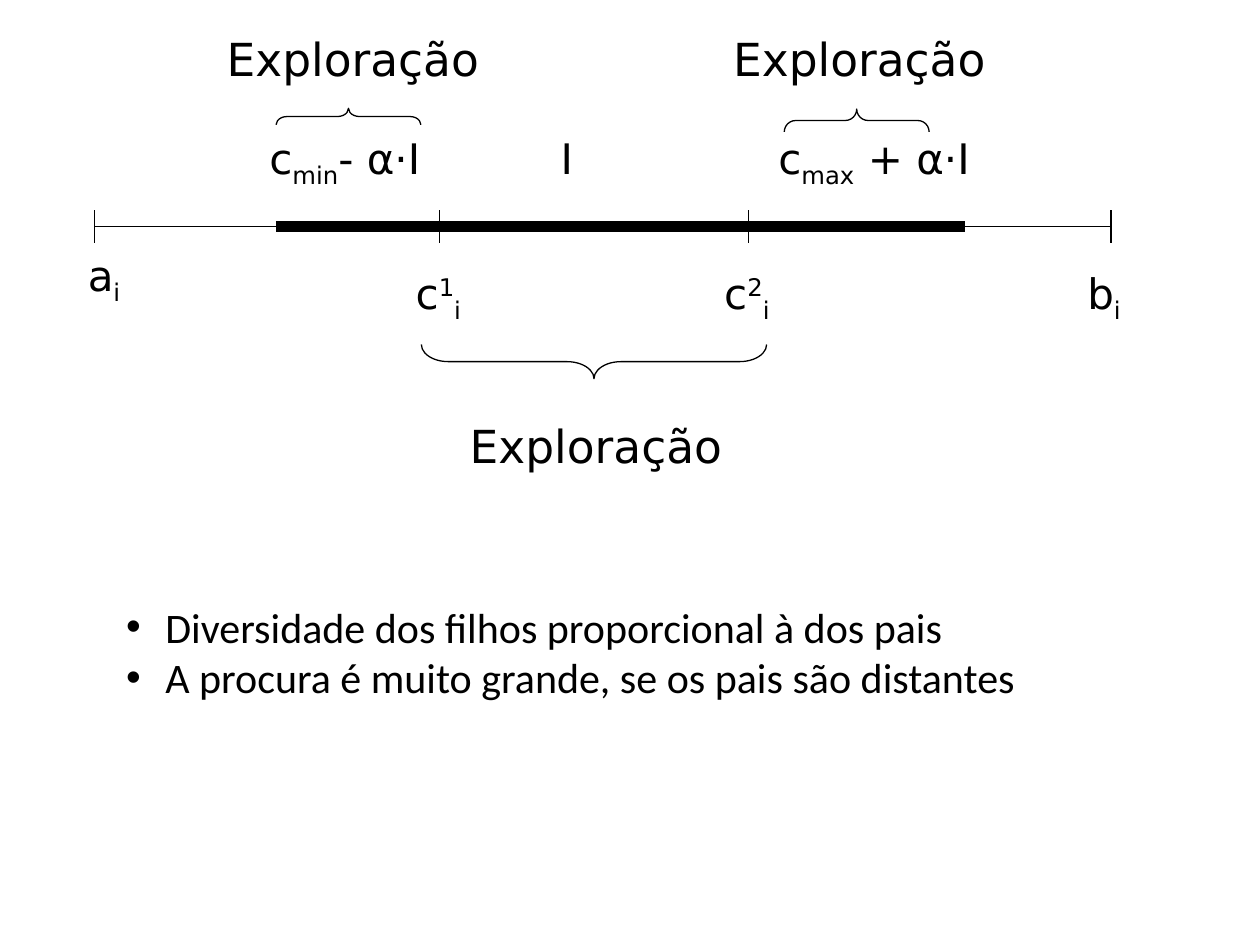
"""Build the slide on exploration around the interval between two parents."""
import pptx
import pptx.dml.color
import pptx.enum.shapes
import pptx.enum.text
import pptx.util
from pptx.util import Cm

BLACK = pptx.dml.color.RGBColor(0, 0, 0)
SUB, SUPER = -25000, 30000
AXIS_Y, TICK_TOP, TICK_BOTTOM = 4.57, 4.24, 4.9
AXIS_START, AXIS_END = 1.9, 22.4
FIRST_PARENT, SECOND_PARENT = 8.86, 15.09


def write_text(paragraph, parts, size=24, font="DejaVu Sans", color=BLACK):
    """Write a string, or (string, baseline) parts, as formatted runs."""
    for text, baseline in [(parts, 0)] if isinstance(parts, str) else parts:
        run = paragraph.add_run()
        run.text = text
        run.font.size = pptx.util.Pt(size)
        run.font.name = font
        run.font.color.rgb = color
        if baseline:
            run._r.get_or_add_rPr().set("baseline", str(baseline))


def add_label(slide, parts, left, top, width, height, **text_format):
    """Add a wrapping text box with one paragraph."""
    label = slide.shapes.add_textbox(Cm(left), Cm(top), Cm(width), Cm(height))
    label.text_frame.word_wrap = True
    write_text(label.text_frame.paragraphs[0], parts, **text_format)


def add_line(slide, x1, y1, x2, y2, weight=0.75):
    """Add a plain black straight line."""
    line = slide.shapes.add_connector(
        pptx.enum.shapes.MSO_CONNECTOR.STRAIGHT, Cm(x1), Cm(y1), Cm(x2), Cm(y2))
    line.line.color.rgb = BLACK
    line.line.width = pptx.util.Pt(weight)
    properties = line._element.spPr
    properties.append(properties.makeelement(pptx.oxml.ns.qn("a:effectLst"), {}))


def add_brace(slide, left, top, width, height, rotation, curve):
    """Add a left brace turned to point up (90) or down (270)."""
    brace = slide.shapes.add_shape(
        pptx.enum.shapes.MSO_SHAPE.LEFT_BRACE, Cm(left), Cm(top), Cm(width), Cm(height))
    brace.rotation = rotation
    brace.adjustments[0] = curve
    brace.shadow.inherit = False
    brace.fill.background()
    brace.line.color.rgb = BLACK
    brace.line.width = pptx.util.Pt(0.75)


def fill_list(body, items):
    """Place the body placeholder and fill it with bulleted items."""
    body.left, body.top, body.width, body.height = Cm(2.29), Cm(11.99), Cm(18.64), Cm(2.31)
    frame = body.text_frame
    frame.word_wrap = False
    frame.auto_size = pptx.enum.text.MSO_AUTO_SIZE.SHAPE_TO_FIT_TEXT
    for index, item in enumerate(items):
        paragraph = frame.add_paragraph() if index else frame.paragraphs[0]
        paragraph.space_before = pptx.util.Pt(0)
        properties = paragraph._p.get_or_add_pPr()
        properties.set("marL", str(Cm(0.79)))
        properties.set("indent", str(Cm(-0.79)))
        write_text(paragraph, item, font="Calibri")


def main():
    """Build and save the slide."""
    deck = pptx.Presentation()
    deck.slide_width, deck.slide_height = Cm(25.4), Cm(19.05)
    slide = deck.slides.add_slide(deck.slide_layouts[1])
    title = slide.shapes.title._element
    title.getparent().remove(title)

    for left, top, width, height in ((4.32, 0.51, 6.96, 1.35),
                                     (14.53, 0.51, 6.58, 1.7),
                                     (9.22, 8.31, 8.05, 2.03)):
        add_label(slide, "Exploração", left, top, width, height, size=26)

    add_label(slide, [("c", 0), ("min", SUB), ("- α·I", 0)], 5.18, 2.54, 4.04, 1.7)
    add_label(slide, [("c", 0), ("max", SUB), (" + α·I", 0)], 15.44, 2.54, 4.75, 1.7)
    add_label(slide, "I", 11.05, 2.54, 1.47, 1.35)

    add_line(slide, AXIS_START, AXIS_Y, AXIS_END, AXIS_Y)
    for x in (AXIS_START, AXIS_END, FIRST_PARENT, SECOND_PARENT):
        add_line(slide, x, TICK_TOP, x, TICK_BOTTOM)

    add_label(slide, [("a", 0), ("i", SUB)], 1.52, 4.9, 1.83, 1.35)
    add_label(slide, [("c", 0), ("1", SUPER), ("i", SUB)], 8.13, 5.26, 1.83, 1.35)
    add_label(slide, [("c", 0), ("2", SUPER), ("i", SUB)], 14.35, 5.26, 2.18, 1.7)
    add_label(slide, [("b", 0), ("i", SUB)], 21.67, 5.26, 2.18, 1.35)

    add_brace(slide, 11.63, 3.81, 0.69, 6.96, rotation=270, curve=0.79)
    add_brace(slide, 6.86, 0.89, 0.33, 2.92, rotation=90, curve=0.67)
    add_brace(slide, 17.04, 0.97, 0.46, 2.92, rotation=90, curve=0.5)
    add_line(slide, 5.56, AXIS_Y, 19.46, AXIS_Y, weight=6)

    fill_list(slide.placeholders[1], (
        "Diversidade dos filhos proporcional à dos pais",
        "A procura é muito grande, se os pais são distantes"))
    deck.save("out.pptx")


if __name__ == "__main__":
    main()
